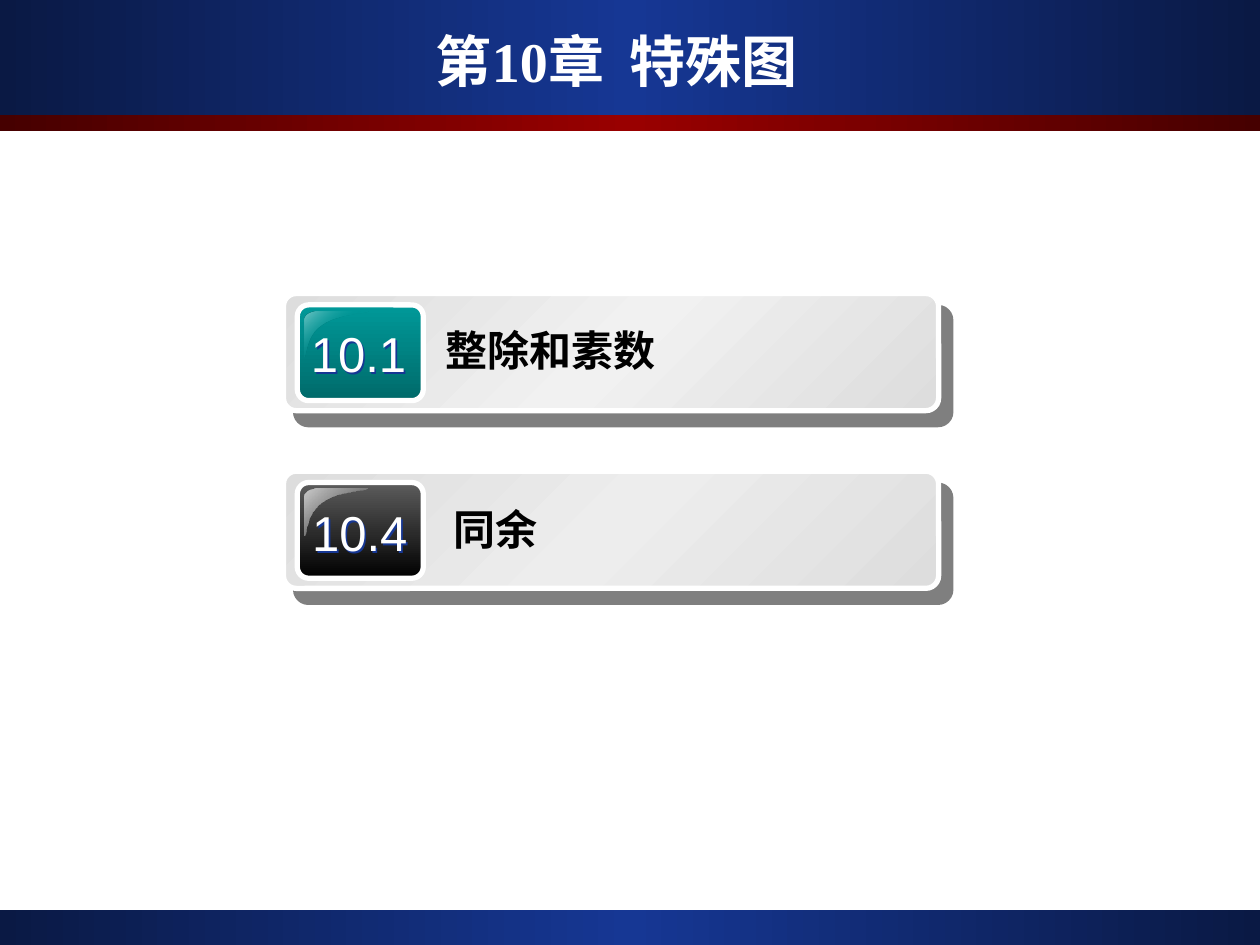
from lxml.etree import SubElement
from pptx import Presentation
from pptx.dml.color import RGBColor
from pptx.enum.shapes import MSO_SHAPE as Shape
from pptx.enum.text import MSO_ANCHOR as Anchor, MSO_AUTO_SIZE as AutoSize, PP_ALIGN as Align
from pptx.oxml.ns import qn
from pptx.util import Inches, Pt

COLORS = {
    "white": "FFFFFF", "black": "000000",
    "navy": "0A1944", "blue": "163794", "maroon": "460000", "red": "990000",
    "silver": "DDDDDD", "pale": "F1F1F1", "mist": "EDEDED",
    "teal": "009999", "deep_teal": "006A6A", "light_teal": "73C6C6",
    "slate": "5C5C5C", "gray": "969696", "light_gray": "CBCBCB",
}
CARD_TOP, CARD_PITCH = 2.33, 1.41
CARDS = [
    {"number": "10.1", "label": "整除和素数", "sheen": "pale",
     "badge": ["teal", "deep_teal"],
     "gloss": ["light_teal", ("teal", 0), "light_teal"],
     "number_at": (2.37, 0.24, 0.95, 0.52), "number_spacing": 0.9,
     "label_at": (3.44, 0.2, 3.72, 0.5), "label_spacing": 1.0},
    {"number": "10.4", "label": "同余", "sheen": "mist",
     "badge": ["slate", "black"],
     "gloss": [("gray", 0), "light_gray"],
     "number_at": (2.38, 0.2, 0.95, 0.57), "number_spacing": 1.0,
     "label_at": (3.5, 0.09, 3.82, 0.62), "label_spacing": 1.3},
]


def add_color(parent, name, alpha=100):
    """Append a colour element with an opacity in percent."""
    color = SubElement(parent, qn("a:srgbClr"), val=COLORS[name])
    if alpha < 100:
        SubElement(color, qn("a:alpha"), val=str(alpha * 1000))


def fill_gradient(shape, stops, angle):
    """Fill a shape with evenly spaced stops, each a name or (name, opacity)."""
    shape.fill.gradient()
    gradient = shape._element.spPr.find(qn("a:gradFill"))
    stop_list = gradient.find(qn("a:gsLst"))
    for old_stop in list(stop_list):
        stop_list.remove(old_stop)
    for index, stop in enumerate(stops):
        name, alpha = (stop, 100) if isinstance(stop, str) else stop
        position = round(100000 * index / (len(stops) - 1))
        add_color(SubElement(stop_list, qn("a:gs"), pos=str(position)), name, alpha)
    gradient.find(qn("a:lin")).set("ang", str(angle * 60000))


def add_shadow(shape, name, distance, angle, alpha=100):
    """Give a shape a sharp outer shadow."""
    shape.shadow.inherit = False
    effects = shape._element.spPr.find(qn("a:effectLst"))
    shadow = SubElement(effects, qn("a:outerShdw"), blurRad="0", dist=str(Pt(distance)),
                        dir=str(angle * 60000), algn="ctr", rotWithShape="0")
    add_color(shadow, name, alpha)


def add_block(shapes, at, stops, angle, radius=None):
    """Add a gradient bar, or a white-edged rounded block when radius is given."""
    kind = Shape.RECTANGLE if radius is None else Shape.ROUNDED_RECTANGLE
    block = shapes.add_shape(kind, *map(Inches, at))
    block.shadow.inherit = False
    fill_gradient(block, stops, angle)
    if radius is None:
        block.line.fill.background()
    else:
        block.adjustments[0] = radius
        block.line.color.rgb = RGBColor.from_string(COLORS["white"])
        block.line.width = Pt(3)
    return block


def add_text(shapes, text, at, size, color, font="Arial", bold=False, align=Align.LEFT,
             anchor=Anchor.TOP, spacing=1.0, wrap=True):
    """Add a text box holding one formatted paragraph."""
    box = shapes.add_textbox(*map(Inches, at))
    frame = box.text_frame
    frame.word_wrap = wrap
    frame.auto_size = AutoSize.NONE
    frame.vertical_anchor = anchor
    para = frame.paragraphs[0]
    para.alignment = align
    para.line_spacing = spacing
    span = para.add_run()
    span.text = text
    span.font.name = font
    span.font.size = Pt(size)
    span.font.bold = bold
    span.font.color.rgb = RGBColor.from_string(COLORS[color])
    return box


def curve(start, control1, control2, end, steps=12):
    """Return points along a cubic curve, without its start."""
    points = []
    for step in range(1, steps + 1):
        t = step / steps
        weights = ((1 - t) ** 3, 3 * t * (1 - t) ** 2, 3 * t * t * (1 - t), t ** 3)
        controls = (start, control1, control2, end)
        points.append(tuple(sum(w * p[axis] for w, p in zip(weights, controls))
                            for axis in (0, 1)))
    return points


def add_gloss(shapes, left, top, stops):
    """Add the curved highlight in the corner of a badge."""
    outline = [(0.1, 0), *curve((0.1, 0), (0.05, 0), (0, 0.03), (0, 0.07)), (0, 0.37),
               *curve((0, 0.37), (0.02, 0.38), (0.01, 0.19), (0.14, 0.11)),
               *curve((0.14, 0.11), (0.26, 0.02), (0.5, 0.02), (0.5, 0))]
    points = [(Inches(left + x), Inches(top + y)) for x, y in outline]
    builder = shapes.build_freeform(*points[0])
    builder.add_line_segments(points[1:], close=True)
    gloss = builder.convert_to_shape()
    gloss.shadow.inherit = False
    gloss.line.fill.background()
    fill_gradient(gloss, stops, 225)


def add_card(page, top, card):
    """Add one chapter entry: card, numbered badge and label."""
    shapes = page.shapes.add_group_shape().shapes
    base = add_block(shapes, (2.25, top, 5.2, 0.93),
                     ["silver", card["sheen"], "silver"], 225, radius=0.109)
    add_shadow(base, "black", 10.6, 49, alpha=50)
    add_block(shapes, (2.36, top + 0.09, 1, 0.76), card["badge"], 90, radius=0.119)
    add_gloss(shapes, 2.42, top + 0.14, card["gloss"])
    left, offset, width, height = card["number_at"]
    number = add_text(shapes, card["number"], (left, top + offset, width, height), 28, "white",
                      align=Align.CENTER, spacing=card["number_spacing"], wrap=False)
    add_shadow(number, "blue", 1.4, 45)
    left, offset, width, height = card["label_at"]
    add_text(shapes, card["label"], (left, top + offset, width, height), 24, "black",
             bold=True, spacing=card["label_spacing"])


def main():
    """Build and save the chapter slide."""
    deck = Presentation()
    deck.slide_width, deck.slide_height = Inches(10), Inches(7.5)
    page = deck.slides.add_slide(deck.slide_layouts[6])
    for top, height, edge, middle in ((7.22, 0.28, "navy", "blue"),
                                      (0, 0.91, "navy", "blue"),
                                      (0.91, 0.13, "maroon", "red")):
        add_block(page.shapes, (0, top, 10, height), [edge, middle, edge], 180)
    add_text(page.shapes, "第10章  特殊图", (0.27, 0.17, 9.25, 0.62), 32, "white",
             font="Times New Roman", bold=True, align=Align.CENTER, anchor=Anchor.MIDDLE)
    for index, card in enumerate(CARDS):
        add_card(page, CARD_TOP + index * CARD_PITCH, card)
    deck.save("out.pptx")


if __name__ == "__main__":
    main()
